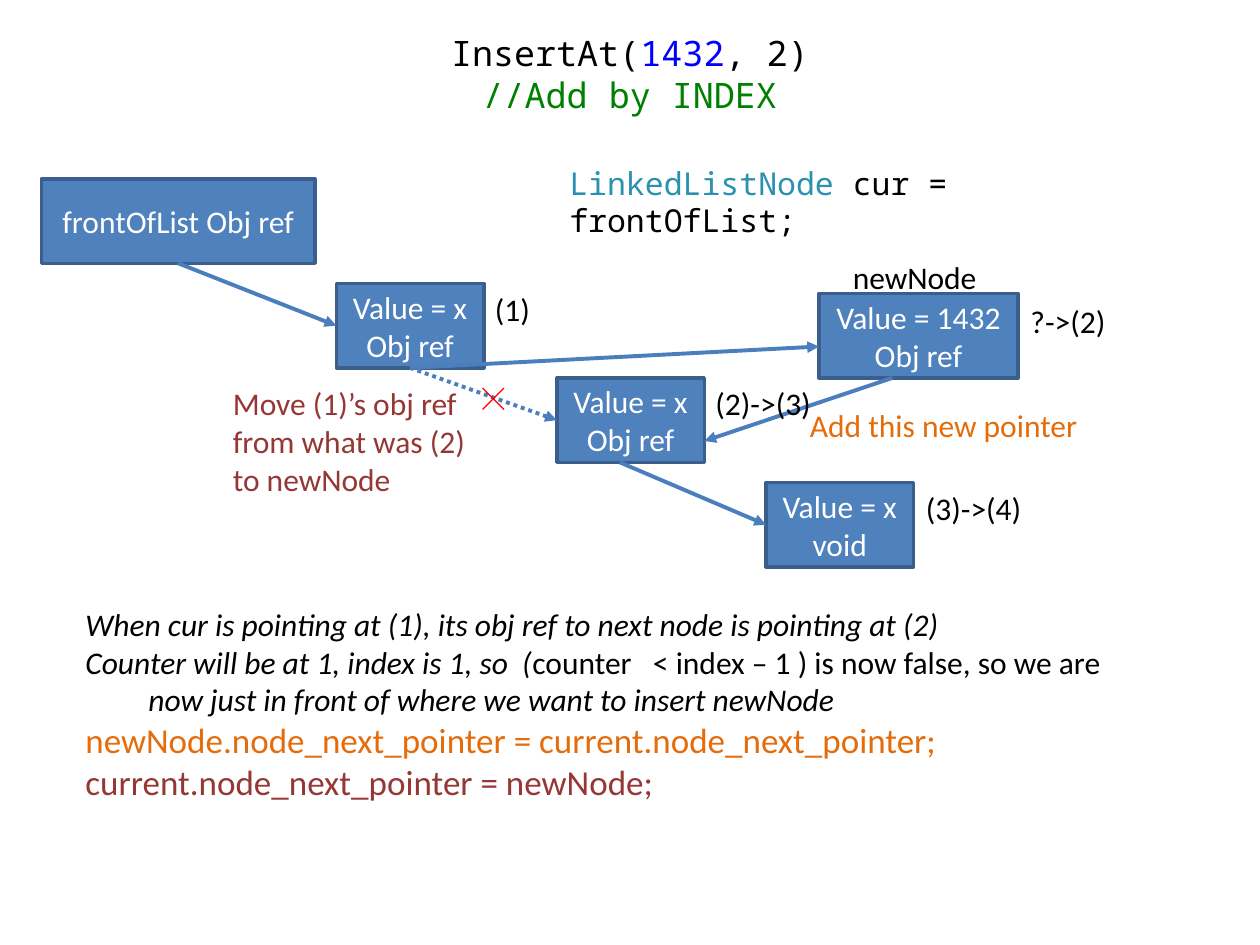
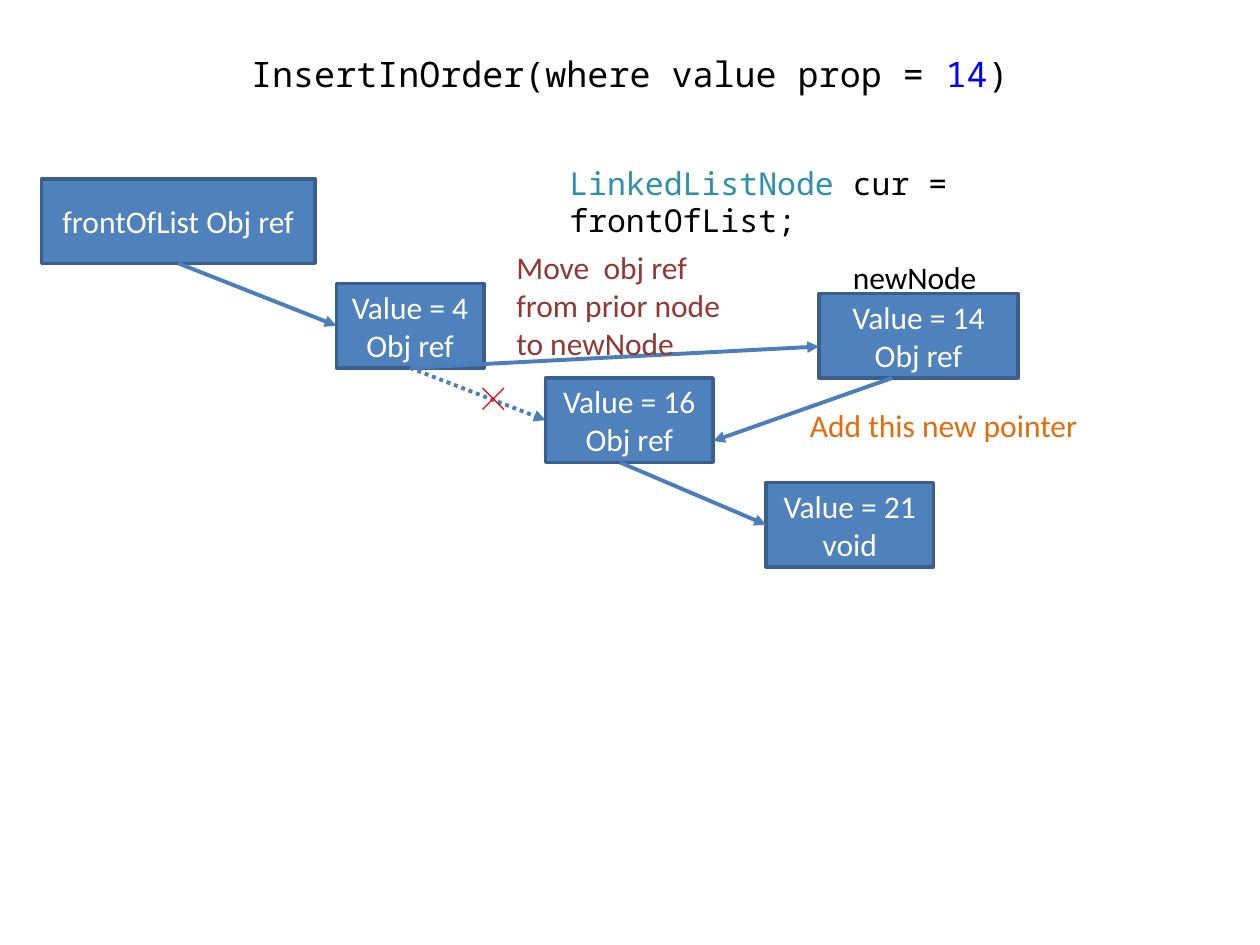
import pptx
import pptx.util
import pptx.dml.color
import pptx.enum.dml
import pptx.enum.shapes
import pptx.enum.text
import pptx.oxml
import pptx.oxml.ns

Inches = pptx.util.Inches
RGBColor = pptx.dml.color.RGBColor

BLACK = RGBColor(0x00, 0x00, 0x00)
WHITE = RGBColor(0xFF, 0xFF, 0xFF)
NODE_FILL = RGBColor(0x4F, 0x81, 0xBD)
NODE_EDGE = RGBColor(0x3A, 0x5F, 0x8C)
ARROW = RGBColor(0x4B, 0x7E, 0xBC)
CROSS = RGBColor(0xFF, 0x00, 0x00)
NUMBER = RGBColor(0x00, 0x00, 0xFF)
COMMENT = RGBColor(0x00, 0x80, 0x00)
TYPE_NAME = RGBColor(0x2B, 0x91, 0xAF)
ORANGE = RGBColor(0xE4, 0x6C, 0x0A)
DARK_RED = RGBColor(0x95, 0x37, 0x35)

BODY_FONT = "Calibri"
CODE_FONT = "Noto Sans Mono"
NODE_HEIGHT = 0.67
BOTTOM, LEFT = 2, 1
CENTER = pptx.enum.text.PP_ALIGN.CENTER
MIDDLE = pptx.enum.text.MSO_ANCHOR.MIDDLE


def style_run(run, color, size=18, font=BODY_FONT, italic=False):
    run.font.name = font
    run.font.size = pptx.util.Pt(size)
    run.font.color.rgb = color
    run.font.italic = italic


def add_box(page, left, top, width, height):
    box = page.shapes.add_textbox(Inches(left), Inches(top), Inches(width), Inches(height))
    box.text_frame.word_wrap = True
    return box


def add_spans(para, spans, **style):
    for text, color in spans:
        run = para.add_run()
        run.text = text
        style_run(run, color, **style)


def add_title(page, *lines):
    frame = add_box(page, 0.5, 0.17, 9, 0.83).text_frame
    frame.vertical_anchor = MIDDLE
    para = frame.paragraphs[0]
    para.alignment = CENTER
    for index, spans in enumerate(lines):
        if index:
            para.add_line_break()
        add_spans(para, spans, size=20, font=CODE_FONT)


def add_label(page, text, left, top, width, color=BLACK, height=0.4):
    frame = add_box(page, left, top, width, height).text_frame
    frame.text = text
    for para in frame.paragraphs:
        style_run(para.runs[0], color)


def add_node(page, text, left, top, width):
    node = page.shapes.add_shape(
        pptx.enum.shapes.MSO_SHAPE.RECTANGLE,
        Inches(left), Inches(top), Inches(width), Inches(NODE_HEIGHT))
    node.shadow.inherit = False
    node.fill.solid()
    node.fill.fore_color.rgb = NODE_FILL
    node.line.color.rgb = NODE_EDGE
    node.line.width = pptx.util.Pt(2)
    frame = node.text_frame
    frame.text = text
    frame.vertical_anchor = MIDDLE
    for para in frame.paragraphs:
        para.alignment = CENTER
        style_run(para.runs[0], WHITE)
    return node


def add_line(shapes, start, end, color, width):
    line = shapes.add_connector(
        pptx.enum.shapes.MSO_CONNECTOR.STRAIGHT, *map(Inches, start + end))
    line.line.color.rgb = color
    line.line.width = pptx.util.Pt(width)
    line._element.spPr.append(pptx.oxml.parse_xml(
        "<a:effectLst %s/>" % pptx.oxml.ns.nsdecls("a")))
    return line


def add_arrow(page, start, end, source=None, target=None, dotted=False):
    arrow = add_line(page.shapes, start, end, ARROW, 2.25)
    if dotted:
        arrow.line.dash_style = pptx.enum.dml.MSO_LINE.ROUND_DOT
    arrow.line._get_or_add_ln().append(pptx.oxml.parse_xml(
        '<a:tailEnd %s type="triangle"/>' % pptx.oxml.ns.nsdecls("a")))
    if source is not None:
        arrow.begin_connect(source, BOTTOM)
    if target is not None:
        arrow.end_connect(target, LEFT)


def add_cross(page):
    group = page.shapes.add_group_shape()
    add_line(group.shapes, (4, 3.08), (3.83, 3.25), CROSS, 0.75)
    add_line(group.shapes, (3.83, 3.08), (4, 3.25), CROSS, 0.75)


def add_list_diagram(page, values, second_left, second_width, last_width):
    first_value, second_value, last_value, new_value = values
    front = add_node(page, "frontOfList Obj ref", 0.33, 1.42, 2.17)
    first = add_node(page, f"Value = {first_value}\nObj ref", 2.67, 2.25, 1.17)
    second = add_node(page, f"Value = {second_value}\nObj ref", second_left, 3, second_width)
    last = add_node(page, f"Value = {last_value}\nvoid", 6.08, 3.83, last_width)
    add_node(page, f"Value = {new_value}\nObj ref", 6.5, 2.33, 1.58)

    add_arrow(page, (1.42, 2.08), (2.67, 2.58), front, first)
    add_arrow(page, (3.25, 2.92), (second_left, 3.33), first, second, dotted=True)
    add_arrow(page, (4.92, 3.67), (6.08, 4.17), target=last)
    add_arrow(page, (3.25, 2.92), (6.5, 2.75), source=first)
    add_arrow(page, (7.08, 3), (second_left + second_width, 3.5))

    code = add_box(page, 4.42, 1.25, 4.77, 0.4)
    add_spans(code.text_frame.paragraphs[0],
              [("LinkedListNode", TYPE_NAME), (" cur = frontOfList;", BLACK)], font=CODE_FONT)
    add_label(page, "newNode", 6.67, 2, 1.2)
    add_label(page, "Add this new pointer", 6.33, 3.17, 2.35, ORANGE)
    add_cross(page)


def add_explanation(page):
    lines = [
        ("When cur is pointing at (1), its obj ref to next node is pointing at (2)", BLACK, 18, True),
        ("Counter will be at 1, index is 1, so  (", BLACK, 18, True),
        ("\tnow just in front of where we want to insert newNode", BLACK, 18, True),
        ("newNode.node_next_pointer = current.node_next_pointer;", ORANGE, 20, False),
        ("current.node_next_pointer = newNode;", DARK_RED, 20, False),
    ]
    frame = add_box(page, 0.58, 4.75, 8.36, 1.99).text_frame
    frame.text = "\n".join(line[0] for line in lines)
    for para, (_, color, size, italic) in zip(frame.paragraphs, lines):
        style_run(para.runs[0], color, size, italic=italic)
    add_spans(frame.paragraphs[1],
              [("counter   < index – 1 ) is now false, so we are", BLACK)])


def build_insert_at(page):
    add_title(page,
              [("InsertAt(", BLACK), ("1432", NUMBER), (", 2)", BLACK)],
              [("//Add by INDEX", COMMENT)])
    add_list_diagram(page, ("x", "x", "x", "1432"), 4.42, 1.17, 1.17)
    add_label(page, "(1)", 3.83, 2.25, 0.63)
    add_label(page, "(2)->(3)", 5.58, 3, 1.08)
    add_label(page, "(3)->(4)", 7.25, 3.83, 1.08)
    add_label(page, "?->(2)", 8.08, 2.35, 1.08)
    add_label(page, "Move (1)’s obj ref\nfrom what was (2)\nto newNode",
              1.75, 3, 2.07, DARK_RED, 1.01)
    add_explanation(page)


def build_insert_in_order(page):
    add_title(page, [("InsertInOrder(where value prop = ", BLACK), ("14", NUMBER), (")", BLACK)])
    add_list_diagram(page, (4, 16, 21, 14), 4.33, 1.33, 1.33)
    add_label(page, "Move  obj ref\nfrom prior node\nto newNode",
              4, 1.92, 1.84, DARK_RED, 1.01)


def main():
    deck = pptx.Presentation()
    deck.slide_width = Inches(10)
    deck.slide_height = Inches(7.5)
    blank = deck.slide_layouts[6]
    for build in (build_insert_at, build_insert_in_order):
        build(deck.slides.add_slide(blank))
    deck.save("out.pptx")


if __name__ == "__main__":
    main()
